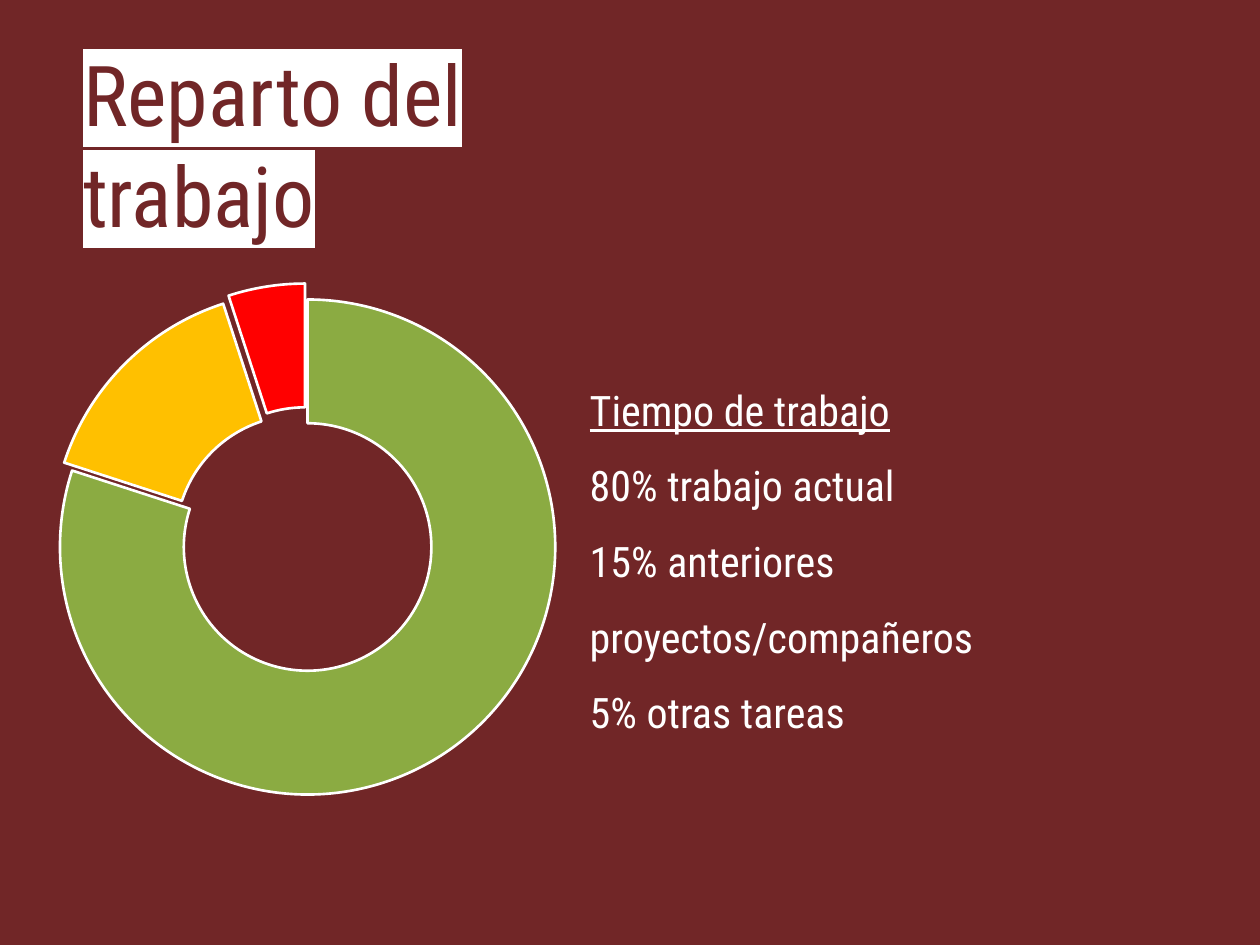
from lxml import etree
from pptx import Presentation
from pptx import util as u
from pptx.chart.data import CategoryChartData
from pptx.dml.color import RGBColor
from pptx.enum import chart as charts, text
from pptx.oxml import parse_xml
from pptx.oxml.ns import nsdecls, qn

MAROON, WHITE = "712627", "FFFFFF"
FONT = "Roboto Condensed"
TITLE = "Reparto del trabajo"
LINES = ["Tiempo de trabajo", "80% trabajo actual",
         "15% anteriores proyectos/compañeros", "5% otras tareas"]
# category, value, colour, explosion in percent
SLICES = [("1", 80, "8BAB42", 0), ("2", 15, "FFC000", 9), ("3", 5, "FF0000", 13)]
TITLE_BOX = (0.56, 0.73, 4.97, 1.31)
CHART_BOX = (0.26, 2.24, 4.32, 4.12)
LINES_BOX = (4.58, 2.8, 5.16, 2.52)
PLOT_SHARES = {"x": 0.05, "y": 0.03, "w": 0.91, "h": 0.96}


def colour(value):
    return RGBColor.from_string(value)


def inches(box):
    return [u.Inches(length) for length in box]


def apply(target, values):
    for name, value in values.items():
        setattr(target, name, value)


def place(shape, box, frame_format):
    apply(shape, dict(zip(("left", "top", "width", "height"), inches(box))))
    apply(shape.text_frame, frame_format)


def add_run(paragraph, words, size, fill, underline=False):
    run = paragraph.add_run()
    run.text = words
    apply(run.font, {"name": FONT, "size": u.Pt(size), "underline": underline})
    run.font.color.rgb = colour(fill)
    return run


def add_title(slide):
    title = slide.shapes.title
    inset = u.Inches(0.1)
    margins = {f"margin_{side}": inset for side in ("left", "top", "right", "bottom")}
    place(title, TITLE_BOX, {"word_wrap": True, "auto_size": text.MSO_AUTO_SIZE.NONE,
                             "vertical_anchor": text.MSO_ANCHOR.BOTTOM, **margins})
    paragraph = title.text_frame.paragraphs[0]
    paragraph.alignment = text.PP_ALIGN.LEFT
    run = add_run(paragraph, TITLE, 48, MAROON)
    highlight = parse_xml(f'<a:highlight {nsdecls("a")}><a:srgbClr val="{WHITE}"/></a:highlight>')
    run.font._element.find(qn("a:solidFill")).addnext(highlight)


def add_lines(slide):
    body = slide.placeholders[1]
    place(body, LINES_BOX, {"word_wrap": True, "vertical_anchor": text.MSO_ANCHOR.TOP,
                            "auto_size": text.MSO_AUTO_SIZE.SHAPE_TO_FIT_TEXT})
    frame = body.text_frame
    for index, line in enumerate(LINES):
        paragraph = frame.add_paragraph() if index else frame.paragraphs[0]
        apply(paragraph, {"line_spacing": 1.5, "space_before": u.Pt(0),
                          "alignment": text.PP_ALIGN.LEFT})
        properties = paragraph._p.get_or_add_pPr()
        properties.set("marL", "0")
        properties.set("indent", "0")
        etree.SubElement(properties, qn("a:buNone"))
        add_run(paragraph, line, 24, WHITE, underline=index == 0)


def add_doughnut(slide):
    categories, values, _, _ = zip(*SLICES)
    data = CategoryChartData()
    data.categories = categories
    data.add_series("Series 1", values)
    chart = slide.shapes.add_chart(charts.XL_CHART_TYPE.DOUGHNUT,
                                   *inches(CHART_BOX), data).chart
    apply(chart, {"has_legend": False, "has_title": False})
    apply(chart.font, {"name": "Arial", "size": u.Pt(10)})
    chart.font.color.rgb = colour("000000")
    plot = chart.plots[0]
    plot.vary_by_categories = True
    plot._element.find(qn("c:holeSize")).set("val", "75")
    for index, (_, _, fill, explosion) in enumerate(SLICES):
        point = plot.series[0].points[index]
        point.format.fill.solid()
        point.format.fill.fore_color.rgb = colour(fill)
        point.format.line.color.rgb = colour(WHITE)
        point.format.line.width = u.Pt(1.5)
        if explosion:
            properties = point.format._element.find(qn("c:spPr")) \
                if point.format._element.tag != qn("c:spPr") else point.format._element
            properties.addprevious(parse_xml(
                f'<c:explosion {nsdecls("c")} val="{explosion}"/>'))
    set_plot_area(chart)


def set_plot_area(chart):
    """Fix the inner plot area as shares of the chart's size."""
    area = chart._chartSpace.chart.plotArea
    for old in area.findall(qn("c:layout")):
        area.remove(old)
    shares = "".join(f'<c:{key} val="{share}"/>' for key, share in PLOT_SHARES.items())
    area.insert(0, parse_xml(
        f'<c:layout {nsdecls("c")}><c:manualLayout><c:layoutTarget val="inner"/>'
        f'<c:xMode val="edge"/><c:yMode val="edge"/>{shares}</c:manualLayout></c:layout>'))


def main():
    presentation = Presentation()
    apply(presentation, {"slide_width": u.Inches(10), "slide_height": u.Inches(7.5)})
    slide = presentation.slides.add_slide(presentation.slide_layouts[1])
    slide.background.fill.solid()
    slide.background.fill.fore_color.rgb = colour(MAROON)
    add_lines(slide)
    add_doughnut(slide)
    add_title(slide)
    presentation.save("out.pptx")


if __name__ == "__main__":
    main()
